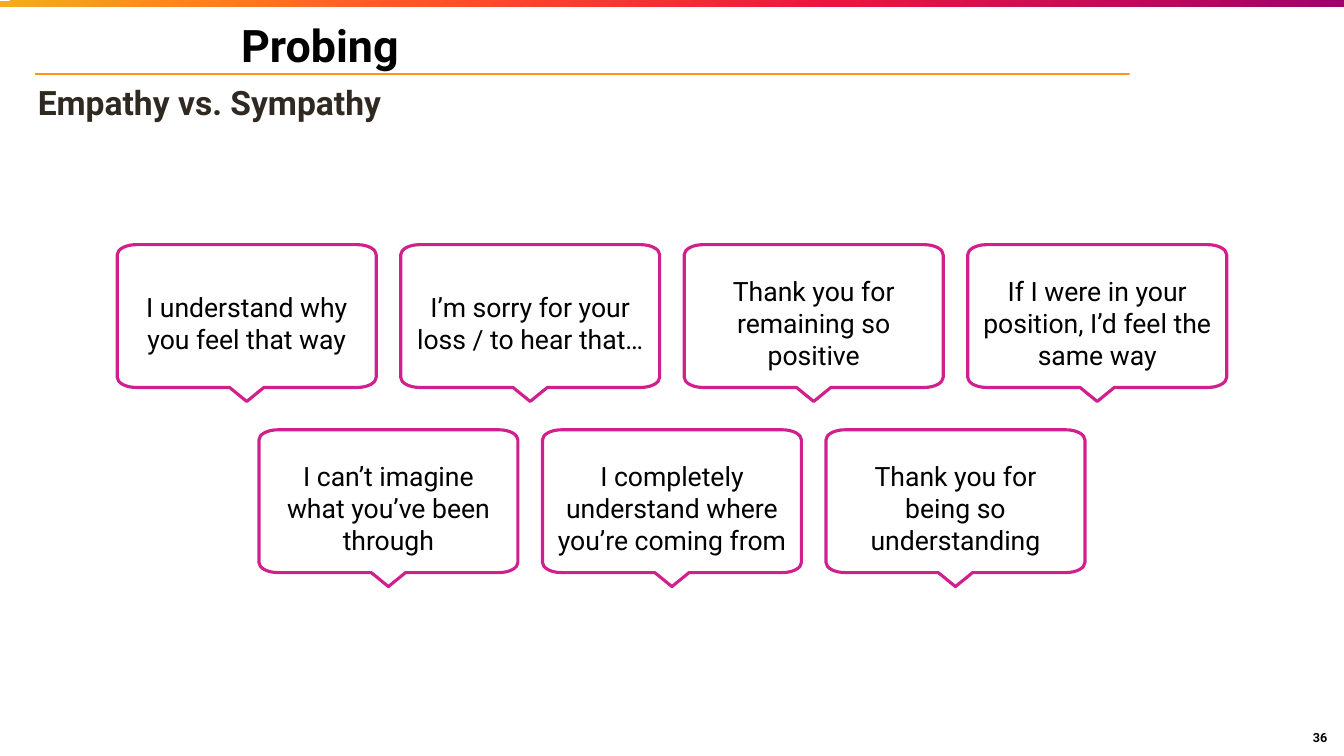
from lxml import etree
from pptx import Presentation
from pptx.dml.color import RGBColor
from pptx.enum import shapes, text
from pptx.oxml import ns
from pptx.util import Pt

FONT = "Roboto"
WHITE = RGBColor(0xFF, 0xFF, 0xFF)
BLACK = RGBColor(0x00, 0x00, 0x00)
BROWN = RGBColor(0x2F, 0x29, 0x22)
ORANGE = RGBColor(0xFF, 0x94, 0x19)
PINK = RGBColor(0xD1, 0x20, 0x8D)
GRADIENT = [
    (0, RGBColor(0xF7, 0xAB, 0x1D)),
    (30, RGBColor(0xFF, 0x57, 0x22)),
    (62, RGBColor(0xEC, 0x15, 0x3F)),
    (100, RGBColor(0x9C, 0x03, 0x6D)),
]

SLIDE_W, SLIDE_H = 960, 540
BUBBLE_W, BODY_H, BUBBLE_H = 185, 102, 112
COLUMN_STEP, ROW_STEP, FIRST_TOP = 202.5, 132.25, 174.75
CORNER_W, CORNER_H, TAIL_HALF = 13.5, 7.25, 12.25
ROUNDNESS = 0.55
PHRASES = [
    [
        "I understand why you feel that way",
        "I’m sorry for your loss / to hear that…",
        "Thank you for remaining so positive",
        "If I were in your position, I’d feel the same way",
    ],
    [
        "I can’t imagine what you’ve been through",
        "I completely understand where you’re coming from",
        "Thank you for being so understanding",
    ],
]


def write(frame, words, size, color, bold=False, align=text.PP_ALIGN.LEFT, inset=2.25):
    frame.word_wrap = True
    frame.vertical_anchor = text.MSO_ANCHOR.MIDDLE
    frame.margin_left = frame.margin_right = Pt(inset)
    frame.margin_top = frame.margin_bottom = Pt(inset)
    frame.text = words
    line = frame.paragraphs[0]
    line.alignment = align
    font = line.runs[0].font
    font.name, font.size, font.bold = FONT, Pt(size), bold
    font.color.rgb = color


def add_label(slide, box, words, size, color, **style):
    frame = slide.shapes.add_textbox(*map(Pt, box)).text_frame
    write(frame, words, size, color, bold=True, **style)
    return frame


def add_band(slide, box):
    band = slide.shapes.add_shape(shapes.MSO_SHAPE.RECTANGLE, *map(Pt, box))
    band.shadow.inherit = False
    band.line.fill.background()
    return band


def paint_gradient(band):
    band.fill.gradient()
    grad = band.fill._xPr.find(ns.qn("a:gradFill"))
    stops = grad.find(ns.qn("a:gsLst"))
    for stop in list(stops):
        stops.remove(stop)
    for percent, color in GRADIENT:
        stop = etree.SubElement(stops, ns.qn("a:gs"), pos=str(percent * 1000))
        etree.SubElement(stop, ns.qn("a:srgbClr"), val=str(color))
    grad.find(ns.qn("a:lin")).set("ang", "2700000")


def bubble_outline(left, top):
    right, base, middle = left + BUBBLE_W, top + BODY_H, left + BUBBLE_W / 2
    near_x, far_x = left + CORNER_W, right - CORNER_W
    near_y, far_y = top + CORNER_H, base - CORNER_H
    return [
        (near_x, top), (left, near_y),
        (left, far_y), (near_x, base),
        (middle - TAIL_HALF, base), (middle, top + BUBBLE_H), (middle + TAIL_HALF, base),
        (far_x, base), (right, far_y),
        (right, near_y), (far_x, top),
    ]


def toward(start, end):
    return start + ROUNDNESS * (end - start)


def round_corners(bubble):
    outline = bubble._element.find(".//" + ns.qn("a:path"))
    steps = [step for step in outline if len(step)]
    ends = [(int(step[0].get("x")), int(step[0].get("y"))) for step in steps]
    for index, leaves_sideways in ((1, True), (3, False), (8, True), (10, False)):
        (x1, y1), (x2, y2) = ends[index - 1], ends[index]
        tip_x, tip_y = (x2, y1) if leaves_sideways else (x1, y2)
        curve = etree.Element(ns.qn("a:cubicBezTo"))
        for x, y in (
            (toward(x1, tip_x), toward(y1, tip_y)),
            (toward(x2, tip_x), toward(y2, tip_y)),
            (x2, y2),
        ):
            etree.SubElement(curve, ns.qn("a:pt"), x=str(round(x)), y=str(round(y)))
        outline.replace(steps[index], curve)


def add_bubble(slide, left, top, phrase):
    start, *rest = [(Pt(x), Pt(y)) for x, y in bubble_outline(left, top)]
    builder = slide.shapes.build_freeform(*start)
    builder.add_line_segments(rest, close=True)
    bubble = builder.convert_to_shape()
    round_corners(bubble)
    bubble.shadow.inherit = False
    bubble.fill.solid()
    bubble.fill.fore_color.rgb = WHITE
    bubble.line.color.rgb = PINK
    bubble.line.width = Pt(2.25)
    write(bubble.text_frame, phrase, 19, BLACK, align=text.PP_ALIGN.CENTER, inset=9.5)


def main():
    deck = Presentation()
    deck.slide_width, deck.slide_height = Pt(SLIDE_W), Pt(SLIDE_H)
    slide = deck.slides.add_slide(deck.slide_layouts[6])

    title_rule = add_band(slide, (25.25, 52.5, 899, 0.5))
    paint_gradient(title_rule)
    title_rule.line.color.rgb = ORANGE
    title_rule.line.width = Pt(0.75)
    rule_end = add_band(slide, (807, 20, 127.5, 75.5))
    rule_end.fill.solid()
    rule_end.fill.fore_color.rgb = WHITE
    paint_gradient(add_band(slide, (0, 0.5, SLIDE_W, 4.5)))

    subtitle = add_label(slide, (-23.25, 58.5, 824.5, 29), "Empathy vs. Sympathy", 24, BROWN)
    subtitle.paragraphs[0]._p.get_or_add_pPr().set("marL", str(Pt(48)))
    add_label(slide, (926, 514.5, 34, 24.5), "36", 9, BLACK, align=text.PP_ALIGN.CENTER, inset=0)
    add_label(slide, (170, 4, 609, 55.5), "Probing", 32, BLACK)

    for row, phrases in enumerate(PHRASES):
        row_width = (len(phrases) - 1) * COLUMN_STEP + BUBBLE_W
        row_left = (SLIDE_W - row_width) / 2
        for column, phrase in enumerate(phrases):
            left, top = row_left + column * COLUMN_STEP, FIRST_TOP + row * ROW_STEP
            add_bubble(slide, left, top, phrase)

    deck.save("out.pptx")


if __name__ == "__main__":
    main()
